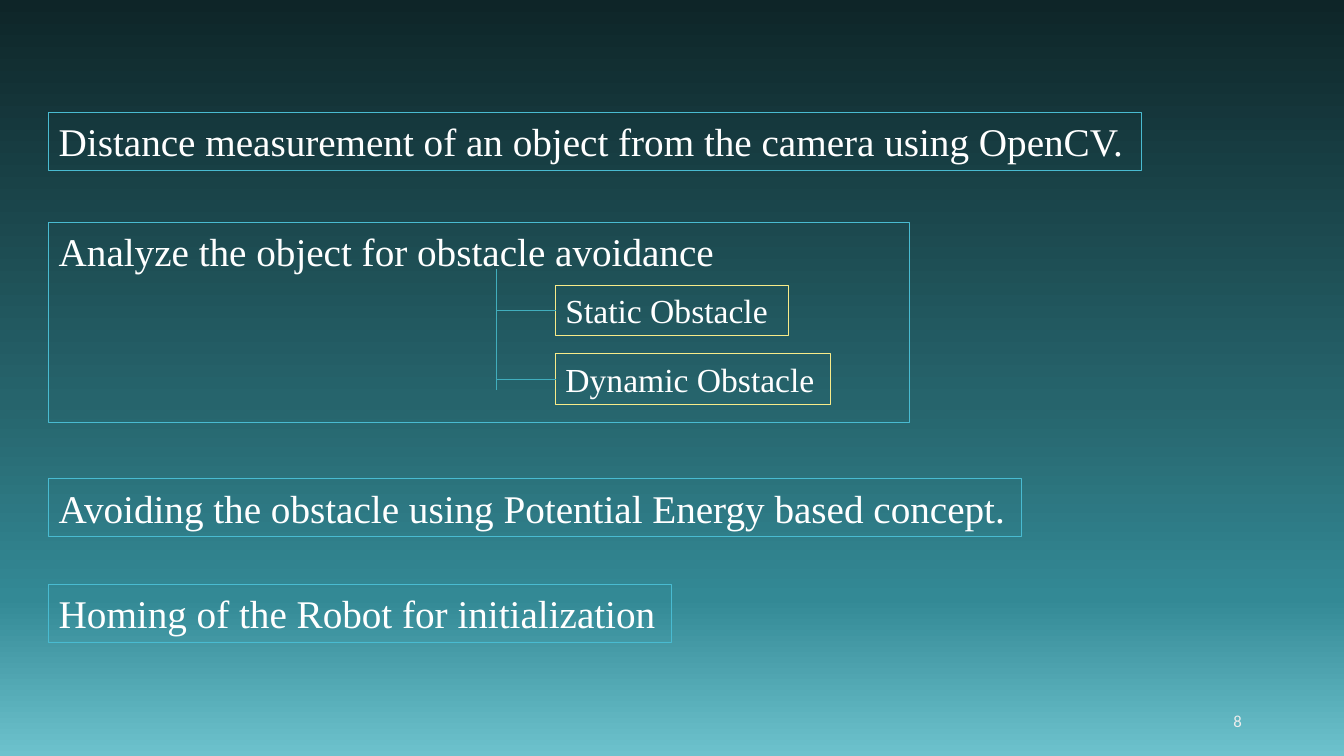
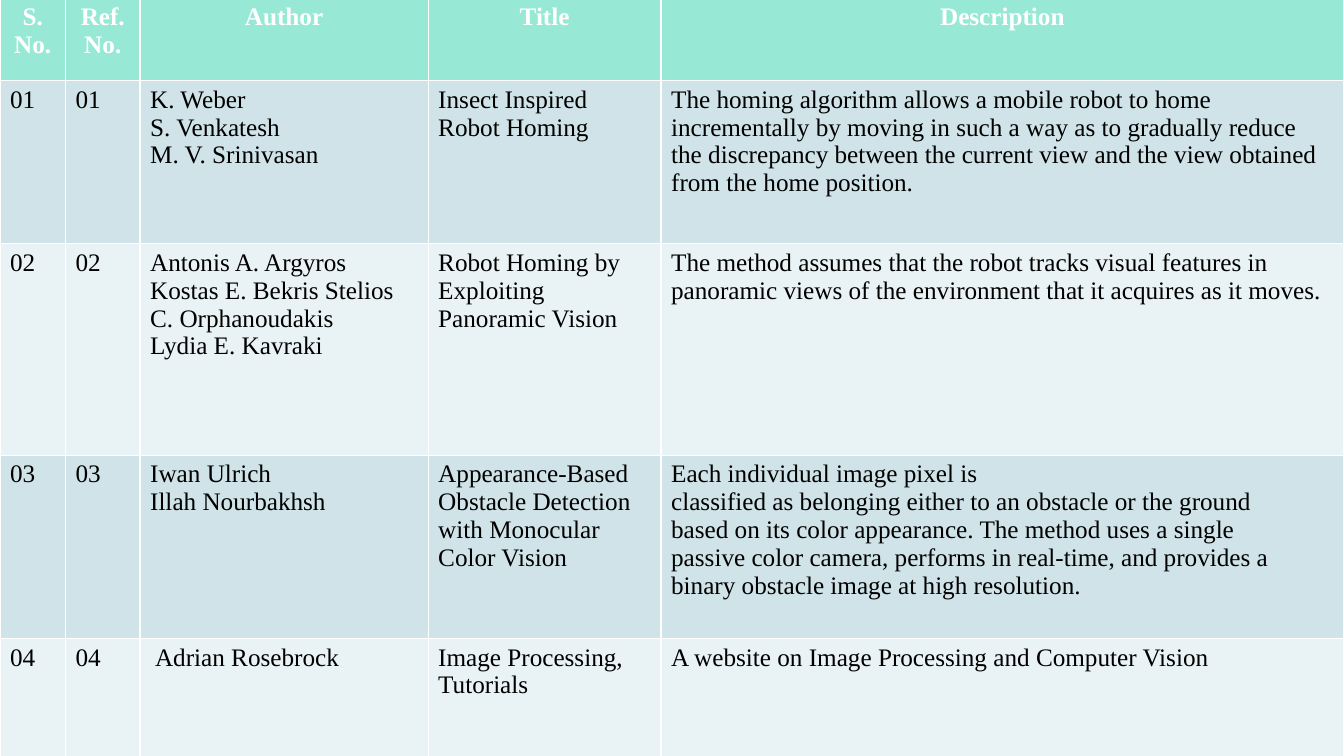
import dataclasses
import typing

import lxml.etree
import pptx
import pptx.dml.color
import pptx.enum.shapes
import pptx.enum.text
import pptx.oxml
import pptx.oxml.ns
import pptx.util

Cm = pptx.util.Cm
Pt = pptx.util.Pt
RGB = pptx.dml.color.RGBColor
qn = pptx.oxml.ns.qn
Align = pptx.enum.text.PP_ALIGN
Anchor = pptx.enum.text.MSO_ANCHOR

WHITE = RGB(0xFF, 0xFF, 0xFF)
BLACK = RGB(0x00, 0x00, 0x00)
PALE = RGB(0xED, 0xED, 0xED)
AQUA = RGB(0x49, 0xBB, 0xD1)
TEAL = RGB(0x41, 0xAE, 0xBD)
GOLD = RGB(0xF8, 0xEB, 0x89)
MINT = RGB(0x97, 0xE9, 0xD5)
BANDS = (RGB(0xCF, 0xE3, 0xE8), RGB(0xE9, 0xF2, 0xF4))
STOPS = (
    (0, RGB(0x0E, 0x25, 0x28)),
    (53, RGB(0x26, 0x64, 0x6C)),
    (79, RGB(0x33, 0x89, 0x95)),
    (100, RGB(0x6D, 0xC2, 0xCD)),
)
SERIF = "Times New Roman"
SANS = "Calibri"


@dataclasses.dataclass(frozen=True)
class Box:
    text: str
    top: float
    width: float
    height: float = 1.45
    left: float = 1.23
    size: int = 28
    line: RGB = AQUA


GOALS = (
    Box("Distance measurement of an object from the camera using OpenCV.", 2.84, 27.53),
    Box("Analyze the object for obstacle avoidance", 5.61, 21.69, 5.05),
    Box("Avoiding the obstacle using Potential Energy based concept.", 12.07, 24.51),
    Box("Homing of the Robot for initialization", 14.73, 15.7),
)
KINDS = (
    Box("Static Obstacle", 7.19, 5.87, 1.27, 14, 24, GOLD),
    Box("Dynamic Obstacle", 8.92, 6.93, 1.27, 14, 24, GOLD),
)
STEM = 12.52

WIDTHS = (1.65, 1.88, 7.26, 5.87, 17.2)
HEIGHTS = (2.08, 4.11, 5.33, 4.62, 4.62)
HEADS = ("S. No.", "Ref. No.", "Author", "Title", "Description")
PAPERS = (
    (
        "K. Weber\nS. Venkatesh\nM. V. Srinivasan",
        "Insect Inspired Robot Homing",
        "The homing algorithm allows a mobile robot to home incrementally by moving "
        "in such a way as to gradually reduce the discrepancy between the current "
        "view and the view obtained from the home position.",
    ),
    (
        "Antonis A. Argyros\nKostas E. Bekris Stelios C. Orphanoudakis\nLydia E. Kavraki",
        "Robot Homing by Exploiting Panoramic Vision",
        "The method assumes that the robot tracks visual features in panoramic views "
        "of the environment that it acquires as it moves.",
    ),
    (
        "Iwan Ulrich\nIllah Nourbakhsh",
        "Appearance-Based Obstacle Detection with Monocular Color Vision",
        "Each individual image pixel is\n"
        "classified as belonging either to an obstacle or the ground\n"
        "based on its color appearance. The method uses a single\n"
        "passive color camera, performs in real-time, and provides a\n"
        "binary obstacle image at high resolution.",
    ),
    (
        " Adrian Rosebrock",
        "Image Processing, Tutorials",
        "A website on Image Processing and Computer Vision",
    ),
)


def write(
    frame: typing.Any,
    text: str,
    *,
    size: int = 18,
    font: str = SERIF,
    color: RGB = WHITE,
    bold: bool = False,
    align: Align = Align.LEFT,
    anchor: Anchor = Anchor.TOP,
) -> None:
    frame.word_wrap = True
    frame.vertical_anchor = anchor
    for n, line in enumerate(text.split("\n")):
        para = frame.add_paragraph() if n else frame.paragraphs[0]
        para.alignment = align
        run = para.add_run()
        run.text = line
        run.font.size = Pt(size)
        run.font.name = font
        run.font.bold = bold
        run.font.color.rgb = color


def paint_back(master: typing.Any) -> None:
    fill = master.background.fill
    fill.gradient()
    fill.gradient_angle = 270
    stops = next(master.element.iter(qn("a:gsLst")))
    for old in list(stops):
        stops.remove(old)
    for place, color in STOPS:
        stop = lxml.etree.SubElement(stops, qn("a:gs"), pos=str(place * 1000))
        lxml.etree.SubElement(stop, qn("a:srgbClr"), val=str(color))


def draw_box(slide: typing.Any, box: Box) -> None:
    shape = slide.shapes.add_shape(
        pptx.enum.shapes.MSO_SHAPE.RECTANGLE,
        Cm(box.left), Cm(box.top), Cm(box.width), Cm(box.height),
    )
    shape.shadow.inherit = False
    shape.fill.background()
    shape.line.color.rgb = box.line
    shape.line.width = Pt(0.75)
    write(shape.text_frame, box.text, size=box.size)


def draw_line(slide: typing.Any, x1: float, y1: float, x2: float, y2: float) -> None:
    line = slide.shapes.add_connector(
        pptx.enum.shapes.MSO_CONNECTOR.STRAIGHT, Cm(x1), Cm(y1), Cm(x2), Cm(y2)
    )
    line.line.color.rgb = TEAL
    line.line.width = Pt(0.5)
    lxml.etree.SubElement(line._element.spPr, qn("a:effectLst"))


def edge_cell(cell: typing.Any) -> None:
    props = cell._tc.get_or_add_tcPr()
    for n, side in enumerate(("lnL", "lnR", "lnT", "lnB")):
        edge = pptx.oxml.parse_xml(
            f'<a:{side} xmlns:a="{pptx.oxml.ns.nsdecls("a").split(chr(34))[1]}" w="{Pt(1)}">'
            f'<a:solidFill><a:srgbClr val="{WHITE}"/></a:solidFill></a:{side}>'
        )
        props.insert(n, edge)


def draw_goals(slide: typing.Any) -> None:
    for box in GOALS + KINDS:
        draw_box(slide, box)
    draw_line(slide, STEM, 6.78, STEM, 9.83)
    for box in KINDS:
        mid = box.top + box.height / 2
        draw_line(slide, STEM, mid, box.left, mid)
    label = slide.shapes.add_textbox(Cm(23.93), Cm(17.65), Cm(7.62), Cm(1.02))
    write(label.text_frame, "8", size=12, font=SANS, color=PALE,
          align=Align.RIGHT, anchor=Anchor.MIDDLE)


def draw_papers(slide: typing.Any) -> None:
    rows = [HEADS]
    rows += [(f"{n:02}", f"{n:02}", *paper) for n, paper in enumerate(PAPERS, 1)]
    table = slide.shapes.add_table(
        len(rows), len(HEADS), Cm(0), Cm(-0.05), Cm(sum(WIDTHS)), Cm(sum(HEIGHTS))
    ).table
    for col, width in zip(table.columns, WIDTHS):
        col.width = Cm(width)
    for r, (row, height) in enumerate(zip(rows, HEIGHTS)):
        table.rows[r].height = Cm(height)
        head = r == 0
        for c, text in enumerate(row):
            cell = table.cell(r, c)
            cell.fill.solid()
            cell.fill.fore_color.rgb = MINT if head else BANDS[(r - 1) % 2]
            edge_cell(cell)
            write(cell.text_frame, text, bold=head,
                  color=WHITE if head else BLACK,
                  align=Align.CENTER if head else Align.LEFT)


def main() -> None:
    deck = pptx.Presentation()
    deck.slide_width = Cm(33.87)
    deck.slide_height = Cm(19.05)
    paint_back(deck.slide_master)
    for draw in (draw_goals, draw_papers):
        draw(deck.slides.add_slide(deck.slide_layouts[6]))
    deck.save("out.pptx")


if __name__ == "__main__":
    main()
